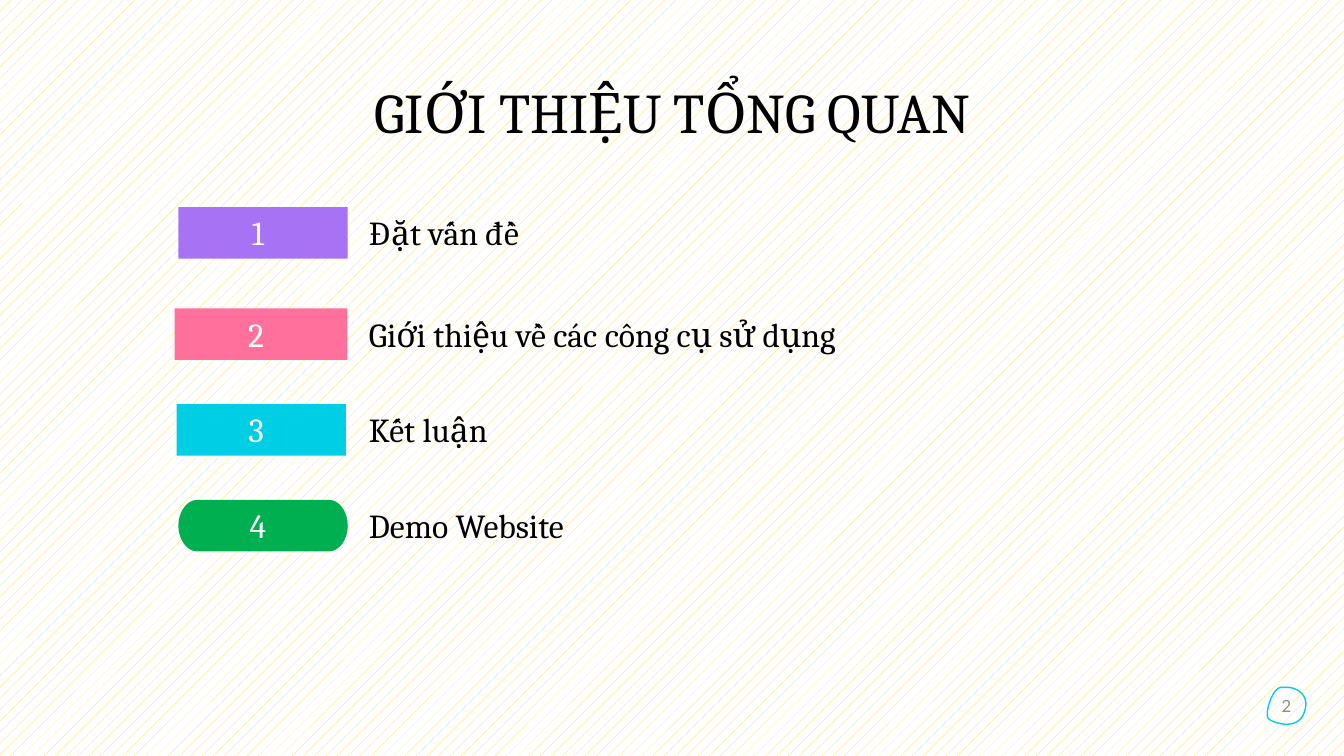
from dataclasses import dataclass

from pptx import Presentation
from pptx import util as u
from pptx.dml.color import RGBColor as Rgb
from pptx.enum import dml, shapes, text
from pptx.oxml import parse_xml

NS = "http://schemas.openxmlformats.org/drawingml/2006/main"


@dataclass(frozen=True)
class Theme:
    face: str = "Cambria"
    small: str = "Lato"
    ink: str = "000000"
    white: str = "FFFFFF"
    gray: str = "8C8C8C"
    gold: str = "FED64E"
    violet: str = "A773F4"
    pink: str = "FF709D"
    cyan: str = "00CEE4"
    green: str = "00B050"
    head: int = 40
    body: int = 24
    note: int = 12


def write(shape, words, size, color, face, align="LEFT", anchor="TOP",
          pad=(0.1, 0.05, 0.1, 0.05), lead=1.0):
    frame = shape.text_frame
    frame.auto_size = text.MSO_AUTO_SIZE.NONE
    frame.word_wrap = True
    frame.vertical_anchor = getattr(text.MSO_ANCHOR, anchor)
    (frame.margin_left, frame.margin_top,
     frame.margin_right, frame.margin_bottom) = map(u.Inches, pad)
    frame.text = words
    para = frame.paragraphs[0]
    props = para._p.get_or_add_pPr()
    props.set("marL", "0")
    props.set("indent", "0")
    props.append(parse_xml(f'<a:buNone xmlns:a="{NS}"/>'))
    para.alignment = getattr(text.PP_ALIGN, align)
    para.line_spacing = lead
    para.space_before = u.Pt(0)
    font = para.runs[0].font
    font.name, font.size, font.bold = face, u.Pt(size), False
    font.color.rgb = Rgb.from_string(color)


def trace(start, steps, count=16):
    points = [start]
    for step in steps:
        if len(step) == 2:
            points.append(step)
            continue
        a, b, c, d = points[-1], step[:2], step[2:4], step[4:]
        for i in range(1, count + 1):
            t = i / count
            s = 1 - t
            points.append(tuple(
                s**3 * a[k] + 3 * s * s * t * b[k] + 3 * s * t * t * c[k] + t**3 * d[k]
                for k in (0, 1)))
    return points


class Page:
    """Draws styled elements on one slide, with lengths in percent of its size."""

    def __init__(self, deck, theme):
        self.deck, self.theme = deck, theme
        self.slide = deck.slides.add_slide(deck.slide_layouts.get_by_name("Comparison"))
        self.holders = {h.placeholder_format.idx: h for h in self.slide.placeholders}

    def area(self, x, y, w, h):
        wide, high = self.deck.slide_width / 100, self.deck.slide_height / 100
        return [round(n) for n in (x * wide, y * high, w * wide, h * high)]

    def back(self):
        fill = self.slide.background.fill
        fill.patterned()
        fill.pattern = dml.MSO_PATTERN.PERCENT_10
        fill.fore_color.rgb = Rgb.from_string(self.theme.gold)
        fill.back_color.rgb = Rgb.from_string(self.theme.white)

    def holder(self, index, box, words, **style):
        item = self.holders[index]
        item.left, item.top, item.width, item.height = self.area(*box)
        write(item, words, **style)

    def title(self, box, words):
        self.holder(0, box, words, size=self.theme.head, color=self.theme.ink,
                    face=self.theme.face, align="CENTER", anchor="MIDDLE", lead=0.9)

    def label(self, index, box, words):
        self.holder(index, box, words, size=self.theme.body, color=self.theme.ink,
                    face=self.theme.face)

    def paint(self, shape, fill=None, line=None):
        shape.shadow.inherit = False
        if fill:
            shape.fill.solid()
            shape.fill.fore_color.rgb = Rgb.from_string(fill)
        else:
            shape.fill.background()
        if line:
            shape.line.color.rgb = Rgb.from_string(line)
            shape.line.width = u.Pt(1)
        else:
            shape.line.fill.background()

    def outline(self, box, points):
        x, y, w, h = self.area(*box)
        spots = [(round(x + w * a), round(y + h * b)) for a, b in points]
        maker = self.slide.shapes.build_freeform(*spots[0], scale=1.0)
        maker.add_line_segments(spots[1:], close=True)
        return maker.convert_to_shape()

    def chip(self, box, words, color, points=None):
        if points:
            shape = self.outline(box, points)
        else:
            shape = self.slide.shapes.add_shape(
                shapes.MSO_SHAPE.RECTANGLE, *self.area(*box))
        self.paint(shape, fill=color)
        write(shape, words, size=self.theme.body, color=self.theme.white,
              face=self.theme.face, align="CENTER", pad=(0.1, 0.05, 0.2, 0.05))

    def badge(self, box, words, points):
        shape = self.outline(box, points)
        self.paint(shape, line=self.theme.cyan)
        write(shape, words, size=self.theme.note, color=self.theme.gray,
              face=self.theme.small, align="CENTER", anchor="MIDDLE", pad=(0, 0, 0, 0))


PILL = trace((0.11, 0), [
    (0.89, 0), (0.95, 0, 1, 0.23, 1, 0.5), (1, 0.77, 0.95, 1, 0.89, 1),
    (0.11, 1), (0.05, 1, 0, 0.77, 0, 0.5), (0, 0.23, 0.05, 0, 0.11, 0)])
PEBBLE = trace((0.45, 0), [
    (0.71, -0.03, 1.13, 0.16, 0.97, 0.65), (0.82, 1.19, 0.13, 0.95, 0.03, 0.84),
    (-0.08, 0.73, 0.11, 0.05, 0.34, 0), (0.37, 0, 0.4, 0, 0.45, 0)])


def main():
    deck = Presentation()
    deck.slide_width, deck.slide_height = u.Inches(13.33), u.Inches(7.5)
    theme = Theme()
    page = Page(deck, theme)
    page.back()
    page.title((3.15, 5.6, 93.77, 19.33), "GIỚI THIỆU TỔNG QUAN")
    rows = [
        (27.4, 13.28, 12.6, theme.violet, None, "Đặt vấn đề"),
        (40.8, 13, 12.85, theme.pink, None, "Giới thiệu về các công cụ sử dụng"),
        (53.47, 13.15, 12.6, theme.cyan, None, "Kết luận"),
        (66.13, 13.28, 12.6, theme.green, PILL, "Demo Website"),
    ]
    for i, (top, left, wide, color, points, words) in enumerate(rows, 1):
        page.chip((left, top, wide, 6.8), str(i), color, points)
        page.label(i, (26.7, top, 57.1, 6.8), words)
    page.badge((94.3, 90.93, 2.85, 4.93), "2", PEBBLE)
    deck.save("out.pptx")


if __name__ == "__main__":
    main()
